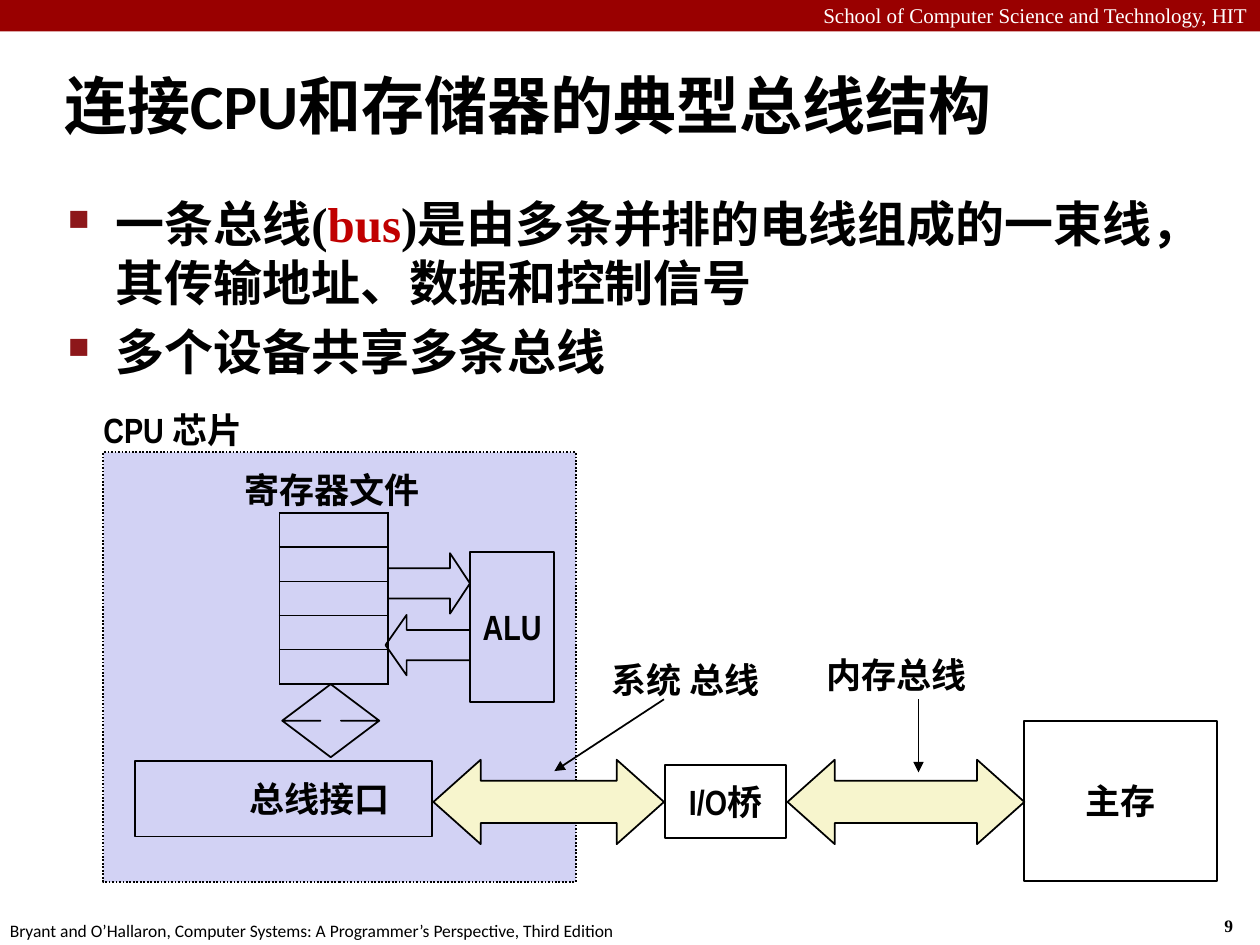
import lxml.etree
import pptx
import pptx.dml.color
import pptx.enum.dml
import pptx.enum.shapes
import pptx.enum.text
import pptx.oxml.ns
import pptx.util

Inches = pptx.util.Inches
Pt = pptx.util.Pt
RGBColor = pptx.dml.color.RGBColor
SHAPE = pptx.enum.shapes.MSO_SHAPE
ALIGN = pptx.enum.text.PP_ALIGN
ANCHOR = pptx.enum.text.MSO_ANCHOR
qn = pptx.oxml.ns.qn

BLACK = RGBColor(0x00, 0x00, 0x00)
WHITE = RGBColor(0xFF, 0xFF, 0xFF)
BAND_RED = RGBColor(0x99, 0x00, 0x00)
TERM_RED = RGBColor(0xC0, 0x00, 0x00)
BULLET_RED = RGBColor(0x8D, 0x17, 0x1A)
CHIP_BLUE = RGBColor(0xD2, 0xD2, 0xF4)
BUS_YELLOW = RGBColor(0xF7, 0xF5, 0xCD)

LABEL = {"size": Pt(20), "name": "Arial Narrow", "bold": True}
BODY = {"size": Pt(28), "name": "Times New Roman", "bold": True}
NO_MARGINS = dict.fromkeys(("margin_left", "margin_top", "margin_right", "margin_bottom"), 0)


def set_values(target, values):
    """Set every attribute named in a dict of format values."""
    for name, value in values.items():
        setattr(target, name, value)


def add_element(parent, tag, **attributes):
    """Append a DrawingML element with its attributes."""
    return lxml.etree.SubElement(parent, qn(tag), attributes)


def add_span(para, text, font, color=BLACK):
    """Add a formatted run to a paragraph."""
    span = para.add_run()
    span.text = text
    set_values(span.font, font)
    span.font.color.rgb = color


def add_text(page, area, text, font, color=BLACK, align=ALIGN.LEFT, frame=None):
    """Add a text box with one line of text."""
    box = page.shapes.add_textbox(*map(Inches, area))
    set_values(box.text_frame, {"word_wrap": True, **(frame or {})})
    para = box.text_frame.paragraphs[0]
    para.alignment = align
    add_span(para, text, font, color)


def add_block(page, kind, area, fill=None, line=BLACK, text="", indent=0, adjust=()):
    """Add an outlined preset shape with an optional centred label."""
    block = page.shapes.add_shape(kind, *map(Inches, area))
    block.shadow.inherit = False
    for index, value in enumerate(adjust):
        block.adjustments[index] = value
    if fill is None:
        block.fill.background()
    else:
        block.fill.solid()
        block.fill.fore_color.rgb = fill
    if line is None:
        block.line.fill.background()
    else:
        block.line.color.rgb = line
        block.line.width = Pt(1)
    if text:
        frame = block.text_frame
        set_values(frame, {**NO_MARGINS, "word_wrap": True, "vertical_anchor": ANCHOR.MIDDLE})
        frame.margin_left = Inches(indent)
        frame.paragraphs[0].alignment = ALIGN.CENTER
        add_span(frame.paragraphs[0], text, LABEL)
    return block


def add_pointer(page, start, end):
    """Add a thin line with an arrowhead at its end."""
    pointer = page.shapes.add_connector(
        pptx.enum.shapes.MSO_CONNECTOR.STRAIGHT, *map(Inches, start + end))
    pointer.line.color.rgb = BLACK
    pointer.line.width = Pt(1)
    add_element(pointer.line._get_or_add_ln(), "a:tailEnd", type="triangle")
    add_element(pointer._element.spPr, "a:effectLst")


def add_bullets(page, area, items):
    """Add a bulleted list whose items are lists of coloured spans."""
    frame = page.shapes.add_textbox(*map(Inches, area)).text_frame
    frame.word_wrap = True
    for index, spans in enumerate(items):
        para = frame.paragraphs[0] if index == 0 else frame.add_paragraph()
        if index:
            para.space_before = Pt(5.8)
        props = para._p.get_or_add_pPr()
        props.set("marL", str(Inches(0.39)))
        props.set("indent", str(Inches(-0.38)))
        color = add_element(props, "a:buClr")
        add_element(color, "a:srgbClr", val=str(BULLET_RED))
        add_element(props, "a:buSzPct", val="60000")
        add_element(props, "a:buChar", char="■")
        for text, color in spans:
            add_span(para, text, BODY, color)


def add_registers(page, area, count):
    """Add the register file as a one-column table of empty cells."""
    table = page.shapes.add_table(count, 1, *map(Inches, area)).table
    set_values(table, {"first_row": False, "horz_banding": False})
    for cell in table.iter_cells():
        set_values(cell, NO_MARGINS)
        props = cell._tc.get_or_add_tcPr()
        for side in ("a:lnL", "a:lnR", "a:lnT", "a:lnB"):
            border = add_element(props, side, w=str(Pt(1)))
            add_element(add_element(border, "a:solidFill"), "a:srgbClr", val=str(BLACK))
        cell.fill.background()
        add_element(cell.text_frame.paragraphs[0]._p, "a:endParaRPr", sz="800")


def add_title(page, area, text):
    """Place and format the title placeholder."""
    title = page.shapes.title
    set_values(title, dict(zip(("left", "top", "width", "height"), map(Inches, area))))
    set_values(title.text_frame, {"vertical_anchor": ANCHOR.MIDDLE, "word_wrap": True})
    para = title.text_frame.paragraphs[0]
    para.alignment = ALIGN.LEFT
    add_span(para, text, {"size": Pt(36), "name": "Calibri", "bold": True})


def add_frame_parts(page):
    """Add the header band, the page number and the footer."""
    add_block(page, SHAPE.RECTANGLE, (0, 0, 10, 0.25), BAND_RED, None)
    add_text(page, (0, -0.03, 10, 0.3), "School of Computer Science and Technology, HIT",
             {"size": Pt(12), "name": "Times New Roman"}, WHITE, ALIGN.RIGHT)
    add_text(page, (9.62, 7.21, 0.37, 0.27), "9",
             {"size": Pt(10), "name": "Times New Roman", "bold": True})
    add_text(page, (-0.02, 7.25, 5.4, 0.27),
             "Bryant and O’Hallaron, Computer Systems: A Programmer’s Perspective, Third Edition",
             {"size": Pt(10), "name": "Calibri"})


def add_diagram(page):
    """Draw the chip, the buses, the bridge and the main memory."""
    chip = add_block(page, SHAPE.RECTANGLE, (0.82, 3.59, 3.75, 3.41), CHIP_BLUE)
    chip.line.dash_style = pptx.enum.dml.MSO_LINE.ROUND_DOT
    for left, width in ((3.44, 1.83), (6.25, 1.88)):
        add_block(page, SHAPE.LEFT_RIGHT_ARROW, (left, 6.03, width, 0.67), BUS_YELLOW,
                  adjust=(0.5, 0.56))
    add_registers(page, (2.22, 4.07, 0.86, 1.36), 5)
    for kind, area, head in (
        (SHAPE.RIGHT_ARROW, (3.08, 4.39, 0.65, 0.48), 0.33),
        (SHAPE.LEFT_ARROW, (3.06, 4.88, 0.67, 0.48), 0.35),
        (SHAPE.UP_DOWN_ARROW, (2.24, 5.43, 0.77, 0.58), 0.21),
    ):
        add_block(page, kind, area, adjust=(0.5, head))
    for text, area, indent in (
        ("主存", (8.13, 5.72, 1.53, 1.27), 0),
        ("总线接口", (1.07, 6.04, 2.36, 0.6), 0.57),
        ("ALU", (3.73, 4.38, 0.67, 1.19), 0),
        ("I/O桥", (5.28, 6.07, 0.96, 0.58), 0),
    ):
        add_block(page, SHAPE.RECTANGLE, area, text=text, indent=indent)
    for text, area in (
        ("寄存器文件", (1.94, 3.72, 1.49, 0.34)),
        ("CPU 芯片", (0.82, 3.24, 1.42, 0.34)),
        ("系统 总线", (4.85, 5.23, 1.47, 0.34)),
        ("内存总线", (6.56, 5.19, 1.52, 0.34)),
    ):
        add_text(page, area, text, LABEL, frame=NO_MARGINS)
    add_pointer(page, (5.27, 5.55), (4.4, 6.12))
    add_pointer(page, (7.29, 5.55), (7.29, 6.13))


def main():
    """Build the slide and save the deck."""
    deck = pptx.Presentation()
    set_values(deck, {"slide_width": Inches(10), "slide_height": Inches(7.5)})
    page = deck.slides.add_slide(deck.slide_layouts[5])
    add_frame_parts(page)
    add_title(page, (0.41, 0.41, 9.51, 0.83), "连接CPU和存储器的典型总线结构")
    add_bullets(page, (0.43, 1.49, 9.4, 1.7), [
        [("一条总线(", BLACK), ("bus", TERM_RED),
         (")是由多条并排的电线组成的一束线，其传输地址、数据和控制信号", BLACK)],
        [("多个设备共享多条总线", BLACK)],
    ])
    add_diagram(page)
    deck.save("out.pptx")


if __name__ == "__main__":
    main()
